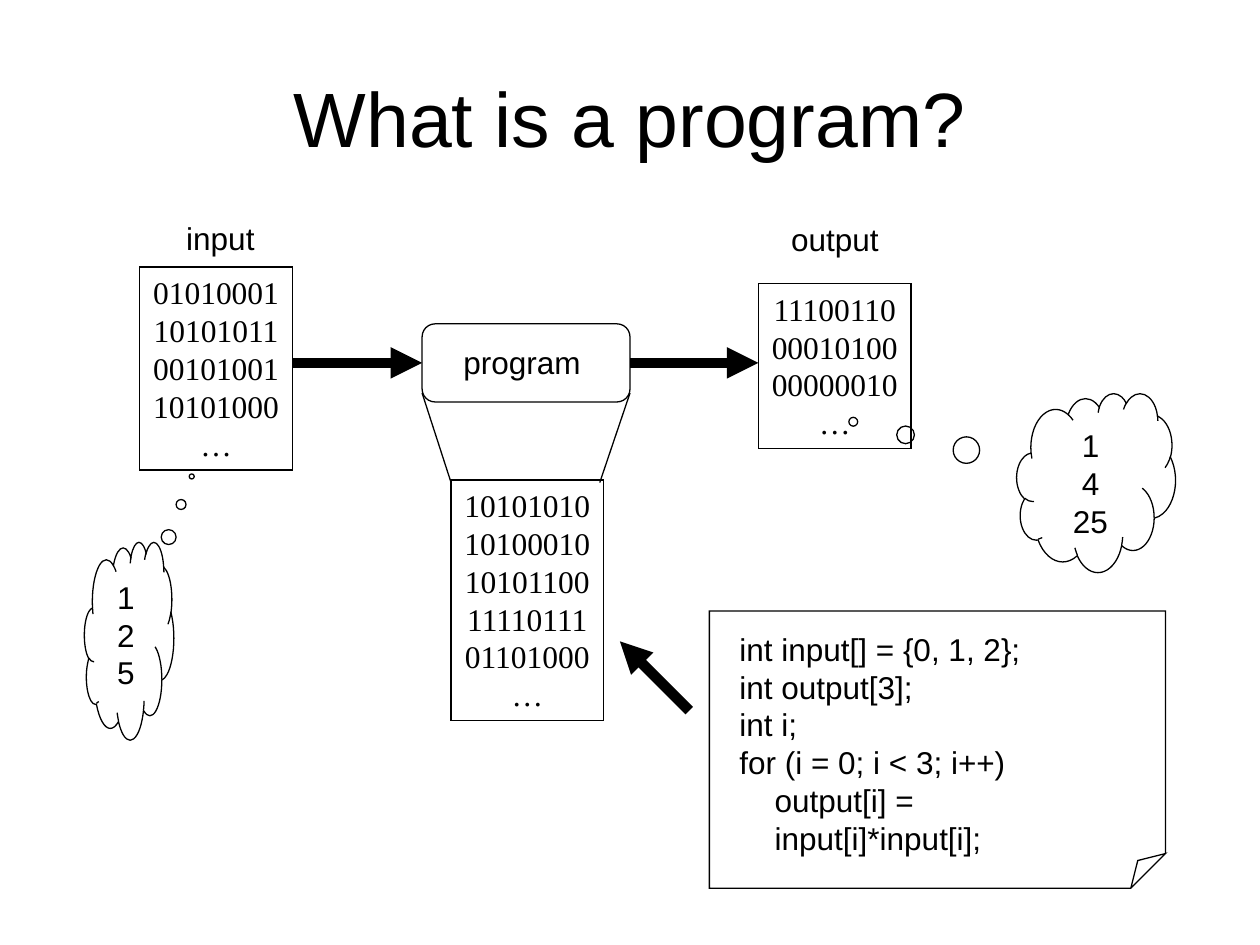
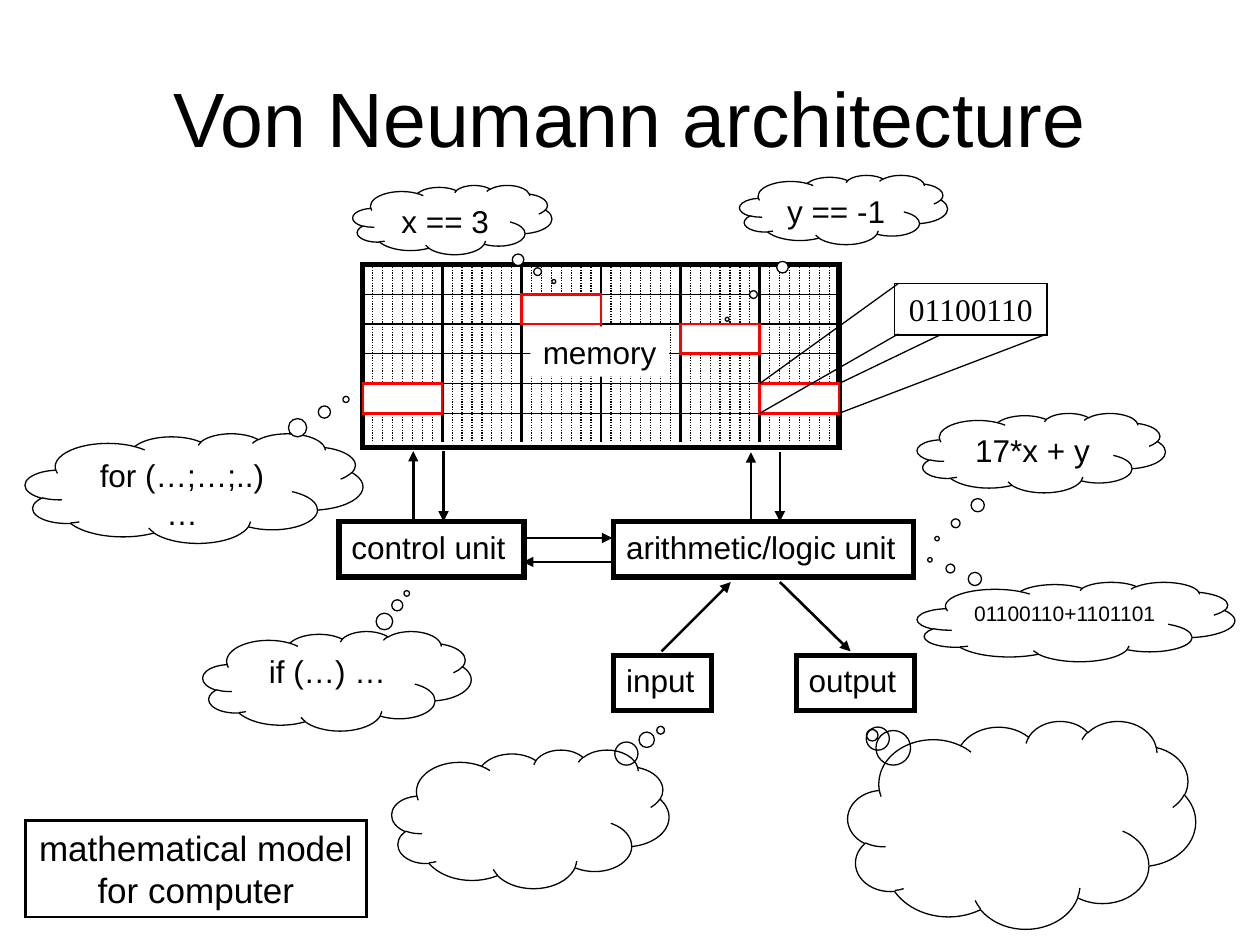
from dataclasses import dataclass

from lxml.etree import SubElement
from pptx import Presentation
from pptx.dml.color import RGBColor
from pptx.enum.dml import MSO_LINE
from pptx.enum.shapes import MSO_CONNECTOR, MSO_SHAPE as Preset
from pptx.enum.text import MSO_ANCHOR as Anchor, MSO_AUTO_SIZE as AutoSize, PP_ALIGN as Align
from pptx.oxml.ns import qn
from pptx.shapes.autoshape import Shape
from pptx.shapes.connector import Connector
from pptx.slide import Slide
from pptx.util import Inches, Pt

BLACK = RGBColor(0x00, 0x00, 0x00)
WHITE = RGBColor(0xFF, 0xFF, 0xFF)
RED = RGBColor(0xFF, 0x00, 0x00)

SANS = "Arial"
SERIF = "Times New Roman"

GRID_STEP = Inches(0.1)
GRID_COLUMNS, GRID_ROWS = 100, 75

THIN, MEDIUM, THICK, HEAVY = 0.75, 1.5, 3, 6

Point = tuple[float, float]


def grid(value: float) -> int:
    return round(value * GRID_STEP)


@dataclass(frozen=True)
class Box:
    column: float
    row: float
    columns: float
    rows: float

    def lengths(self) -> tuple[int, ...]:
        return tuple(grid(v) for v in (self.column, self.row, self.columns, self.rows))


@dataclass(frozen=True)
class Cloud:
    box: Box
    pointer: Point
    text: str = ""
    size: float = 18
    fill: RGBColor | None = None


@dataclass(frozen=True)
class Label:
    text: str
    box: Box


@dataclass(frozen=True)
class Memory:
    column: float = 28.8
    row: float = 21
    word_columns: float = 6.3
    word_rows: float = 2.36
    words: int = 6
    lines: int = 5
    bits: int = 8
    bottom: float = 35.1

    def x(self, word: float) -> float:
        return self.column + word * self.word_columns

    def y(self, line: int) -> float:
        return self.row + line * self.word_rows

    def word_box(self, word: int, line: int) -> Box:
        return Box(self.x(word), self.y(line), self.word_columns, self.word_rows)


MEMORY = Memory()


def write(shape: Shape, text: str, *, size: float = 18, font: str = SANS,
          align: Align = Align.LEFT, anchor: Anchor = Anchor.TOP,
          wrap: bool = False, indents: dict[int, float] | None = None) -> None:
    frame = shape.text_frame
    frame.word_wrap = wrap
    frame.auto_size = AutoSize.NONE if wrap else AutoSize.SHAPE_TO_FIT_TEXT
    frame.vertical_anchor = anchor
    for index, content in enumerate(text.split("\n")):
        paragraph = frame.add_paragraph() if index else frame.paragraphs[0]
        paragraph.text = content
        paragraph.alignment = align
        if indents and index in indents:
            properties = paragraph._p.get_or_add_pPr()
            properties.set("marL", str(grid(indents[index])))
            properties.set("indent", "0")
        for run in paragraph.runs:
            run.font.name = font
            run.font.size = Pt(size)
            run.font.color.rgb = BLACK


def add_label(slide: Slide, label: Label) -> None:
    write(slide.shapes.add_textbox(*label.box.lengths()), label.text)


def add_title(slide: Slide, text: str) -> None:
    title = slide.shapes.add_textbox(*Box(5, 3, 90, 12.5).lengths())
    write(title, text, size=44, align=Align.CENTER, anchor=Anchor.MIDDLE, wrap=True)


def add_preset(slide: Slide, box: Box, preset: Preset = Preset.RECTANGLE, *,
               fill: RGBColor | None = None, color: RGBColor | None = BLACK,
               width: float = THIN) -> Shape:
    shape = slide.shapes.add_shape(preset, *box.lengths())
    shape.shadow.inherit = False
    if fill is None:
        shape.fill.background()
    else:
        shape.fill.solid()
        shape.fill.fore_color.rgb = fill
    if color is None:
        shape.line.fill.background()
    else:
        shape.line.color.rgb = color
        shape.line.width = Pt(width)
        SubElement(shape.line._get_or_add_ln(), qn("a:miter")).set("lim", "800000")
    return shape


def add_bits(slide: Slide, label: Label, fill: RGBColor | None = None) -> None:
    write(add_preset(slide, label.box, fill=fill), label.text, font=SERIF, align=Align.CENTER)


def add_unit(slide: Slide, label: Label) -> None:
    write(add_preset(slide, label.box, width=THICK), label.text)


def add_cloud(slide: Slide, cloud: Cloud) -> None:
    shape = add_preset(slide, cloud.box, Preset.CLOUD_CALLOUT, fill=cloud.fill)
    for index, value in enumerate(cloud.pointer):
        shape.adjustments[index] = value
    if cloud.text:
        write(shape, cloud.text, size=cloud.size, align=Align.CENTER, wrap=True)


def add_page(slide: Slide, box: Box, fold: float) -> None:
    page = add_preset(slide, box, Preset.FOLDED_CORNER)
    geometry = page._element.spPr.find(qn("a:prstGeom"))
    for values in geometry.findall(qn("a:avLst")):
        geometry.remove(values)
    guide = SubElement(SubElement(geometry, qn("a:avLst")), qn("a:gd"))
    guide.set("name", "adj")
    guide.set("fmla", f"val {round(fold * 100000)}")


def add_line(slide: Slide, start: Point, end: Point, *, width: float = THIN,
             dotted: bool = False, arrow: bool = False) -> Connector:
    connector = slide.shapes.add_connector(
        MSO_CONNECTOR.STRAIGHT, *(grid(value) for value in (*start, *end)))
    connector.line.color.rgb = BLACK
    connector.line.width = Pt(width)
    if dotted:
        connector.line.dash_style = MSO_LINE.ROUND_DOT
    if arrow:
        SubElement(connector.line._get_or_add_ln(), qn("a:tailEnd")).set("type", "triangle")
    SubElement(connector._element.spPr, qn("a:effectLst"))
    return connector


def add_memory_grid(slide: Slide) -> None:
    right = MEMORY.x(MEMORY.words)
    add_preset(slide, Box(MEMORY.column, MEMORY.row, right - MEMORY.column, 14.5), width=THICK)
    for line in range(1, MEMORY.lines + 1):
        add_line(slide, (MEMORY.column, MEMORY.y(line)), (right, MEMORY.y(line)))
    for bit in range(1, MEMORY.words * MEMORY.bits):
        x = MEMORY.x(bit / MEMORY.bits)
        inside_word = bit % MEMORY.bits > 0
        add_line(slide, (x, MEMORY.row), (x, MEMORY.bottom),
                 width=THIN if inside_word else MEDIUM, dotted=inside_word)


def add_word(slide: Slide, word: int, line: int) -> None:
    add_preset(slide, MEMORY.word_box(word, line), fill=WHITE, color=RED, width=MEDIUM)


def build_program_slide(slide: Slide) -> None:
    add_title(slide, "What is a program?")
    add_bits(slide, Label("01010001\n10101011\n00101001\n10101000\n…", Box(11.1, 21.2, 12.1, 16.1)))
    program = add_preset(slide, Box(33.5, 25.7, 16.5, 6.2), Preset.FLOWCHART_ALTERNATE_PROCESS)
    add_label(slide, Label("program", Box(35.8, 26.7, 11.3, 4)))
    add_line(slide, (23.2, 28.8), (33.5, 28.8), width=HEAVY, arrow=True).end_connect(program, 1)
    add_line(slide, (50, 28.8), (60.2, 28.8), width=HEAVY, arrow=True).begin_connect(program, 3)
    add_bits(slide, Label("11100110\n00010100\n00000010\n…", Box(60.2, 22.5, 12.1, 13.1)))
    add_bits(slide, Label("10101010\n10100010\n10101100\n11110111\n01101000\n…",
                          Box(35.8, 38.1, 12.1, 19.1)))
    add_line(slide, (33.5, 31.2), (35.8, 38.3))
    add_line(slide, (47.6, 38.3), (50, 31.2))
    add_label(slide, Label("input", Box(13.8, 16.9, 7.4, 4)))
    add_label(slide, Label("output", Box(61.8, 17, 9, 4)))
    code = slide.shapes.add_textbox(*Box(57.7, 49.5, 32.9, 16).lengths())
    write(code, "int input[] = {0, 1, 2};\nint output[3];\nint i;\n"
                "for (i = 0; i < 3; i++)\noutput[i] = input[i]*input[i];", indents={4: 2.8})
    add_cloud(slide, Cloud(Box(6.7, 43, 7.1, 15.7), (0.7, -0.83), "1\n2\n5"))
    add_cloud(slide, Cloud(Box(80.7, 31.2, 12.6, 14.2), (-1.53, -0.34), "1\n4\n25"))
    add_page(slide, Box(56.3, 48.5, 36.2, 22), fold=0.125)
    add_line(slide, (54.7, 56.4), (49.2, 50.9), width=HEAVY, arrow=True)


UNITS = [
    Label("control unit", Box(26.9, 41.4, 14.7, 4.4)),
    Label("arithmetic/logic unit", Box(48.7, 41.4, 23.8, 4.4)),
    Label("input", Box(48.7, 52, 7.8, 4.4)),
    Label("output", Box(63.2, 52, 9.4, 4.4)),
]

DATA_FLOWS = [
    ((32.8, 41.4), (32.8, 35.8)),
    ((59.6, 41.4), (59.6, 35.9)),
    ((35.2, 35.8), (35.2, 41.4)),
    ((61.9, 35.9), (61.9, 41.4)),
    ((41.5, 42.7), (48.6, 42.7)),
    ((48.6, 44.6), (41.5, 44.6)),
    ((61.9, 46.2), (67.5, 51.7)),
    ((52.5, 51.7), (58, 46.2)),
]

UNIT_CLOUDS = [
    Cloud(Box(72.8, 32.8, 19.7, 6.3), (-0.42, 1.08), "17*x + y"),
    Cloud(Box(31.1, 59.5, 22, 11), (0.47, -0.64)),
    Cloud(Box(67.3, 57.2, 27.6, 16.5), (-0.43, -0.43)),
    Cloud(Box(16.1, 50.1, 21.3, 7.9), (0.26, -0.88), "if (…) …"),
    Cloud(Box(72.8, 46.2, 25.2, 6.3), (-0.46, -0.78), "01100110+1101101", 12),
]

WORD_CLOUDS = {
    (2, 1): Cloud(Box(28, 14.7, 15.8, 5.5), (0.51, 0.89), "x == 3", fill=WHITE),
    (4, 2): Cloud(Box(58.7, 13.9, 16.5, 5.5), (-0.56, 1.58), "y == -1", fill=WHITE),
    (0, 4): Cloud(Box(2, 34.4, 26.8, 8.7), (0.45, -0.81), "for (…;…;..) …", fill=WHITE),
}


def add_word_zoom(slide: Slide) -> None:
    left, right = MEMORY.x(5), MEMORY.x(6)
    top, bottom = MEMORY.y(4), MEMORY.y(5)
    add_line(slide, (right, top), (83.1, 22.5))
    add_bits(slide, Label("01100110", Box(71, 22.5, 12.1, 4.1)), fill=WHITE)
    add_word(slide, 5, 4)
    add_line(slide, (left, top), (71.3, 22.5))
    add_line(slide, (left, bottom), (71.3, 26.5))
    add_line(slide, (right, bottom), (83.1, 26.5))


def build_architecture_slide(slide: Slide) -> None:
    add_title(slide, "Von Neumann architecture")
    for unit in UNITS:
        add_unit(slide, unit)
    add_memory_grid(slide)
    for start, end in DATA_FLOWS:
        add_line(slide, start, end, width=MEDIUM, arrow=True)
    memory_name = add_preset(slide, Box(42.1, 25.9, 11, 4), fill=WHITE, color=None)
    write(memory_name, "memory")
    for cloud in UNIT_CLOUDS:
        add_cloud(slide, cloud)
    for (word, line), cloud in WORD_CLOUDS.items():
        add_word(slide, word, line)
        add_cloud(slide, cloud)
    add_word_zoom(slide)
    summary = add_preset(slide, Box(2, 65.1, 27.1, 7.7), width=MEDIUM)
    write(summary, "mathematical model\vfor computer", size=20, align=Align.CENTER)


def main() -> None:
    presentation = Presentation()
    presentation.slide_width = grid(GRID_COLUMNS)
    presentation.slide_height = grid(GRID_ROWS)
    blank = presentation.slide_layouts[6]
    for build in (build_program_slide, build_architecture_slide):
        build(presentation.slides.add_slide(blank))
    presentation.save("out.pptx")


if __name__ == "__main__":
    main()
